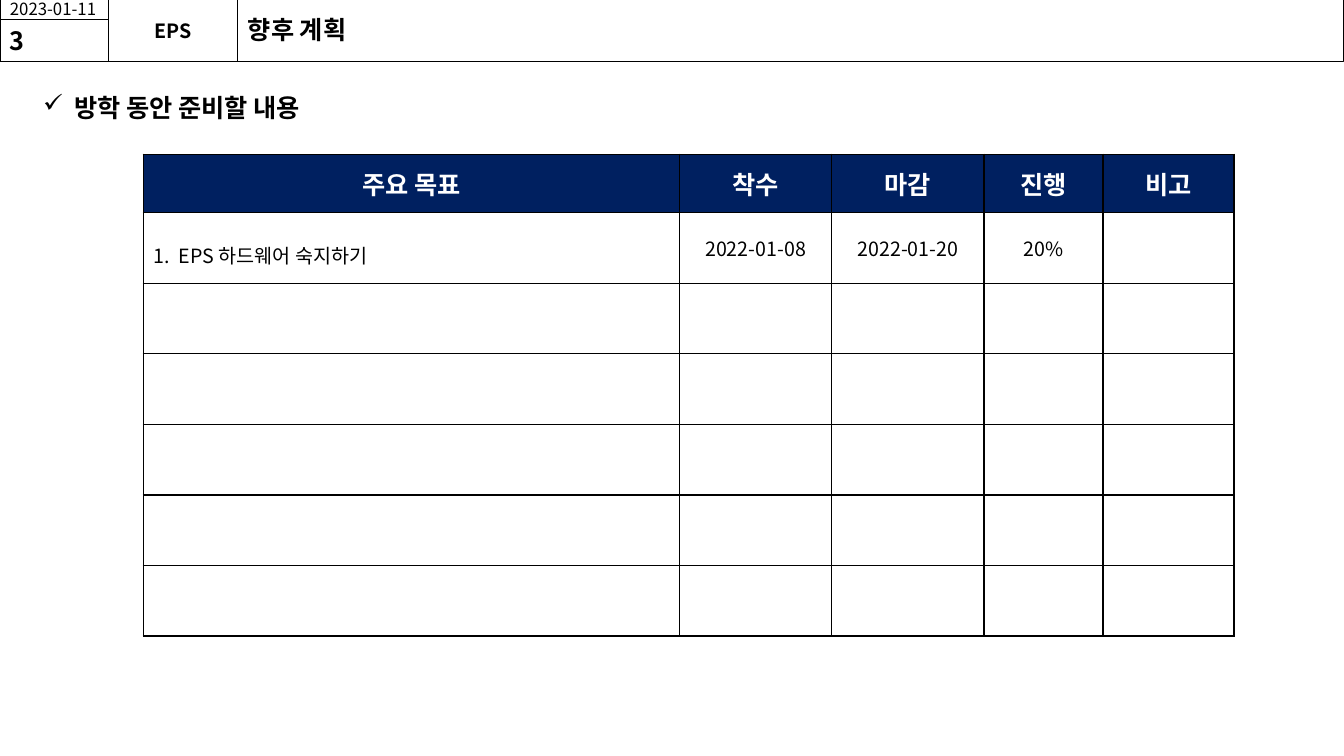
from dataclasses import dataclass

from lxml import etree
from pptx import Presentation
from pptx.dml.color import RGBColor
from pptx.enum.shapes import MSO_SHAPE
from pptx.enum.text import MSO_ANCHOR, PP_ALIGN
from pptx.oxml.ns import qn
from pptx.util import Inches, Pt

RECTANGLE = MSO_SHAPE.RECTANGLE
MIDDLE = MSO_ANCHOR.MIDDLE
LEFT, CENTER = PP_ALIGN.LEFT, PP_ALIGN.CENTER
BLANK_LAYOUT = 6


@dataclass(frozen=True)
class Theme:
    font: str = "Noto Sans CJK KR"
    black: RGBColor = RGBColor(0, 0, 0)
    white: RGBColor = RGBColor(255, 255, 255)
    navy: RGBColor = RGBColor(0, 0x20, 0x60)
    heading: Pt = Pt(18)
    label: Pt = Pt(14)
    date: Pt = Pt(12)
    frame_line: Pt = Pt(0.75)
    grid_line: Pt = Pt(1)


THEME = Theme()
SLIDE_SIZE = (Inches(13.33), Inches(7.5))

# Grid lines of the header band
BAND_X = (0, 1.08, 2.36, 13.33)
BAND_Y = (-0.01, 0.19, 0.61)

TABLE_ORIGIN = (Inches(1.42), Inches(1.53))
COLUMN_WIDTHS = (5.32, 1.51, 1.51, 1.18, 1.3)
HEADER_HEIGHT, ROW_HEIGHT = 0.58, 0.7
GOAL_ROWS = 6
HEADINGS = ("주요 목표", "착수", "마감", "진행", "비고")
GOALS = (("EPS 하드웨어 숙지하기", "2022-01-08", "2022-01-20", "20%"),)

HEADING_STYLE = {"size": THEME.heading, "bold": True}
LABEL_STYLE = {"size": THEME.label, "bold": True}
DATE_STYLE = {"size": THEME.date, "bold": False}
GOAL_STYLE = {"size": THEME.label, "bold": False}


def set_attributes(target, values):
    for name, value in values.items():
        setattr(target, name, value)


def write(frame, text, style, color=THEME.black, align=LEFT):
    """Fill the first paragraph, with the font for Latin and Korean alike."""
    paragraph = frame.paragraphs[0]
    paragraph.alignment = align
    run = paragraph.add_run()
    run.text = text
    set_attributes(run.font, {"name": THEME.font, **style})
    run.font.color.rgb = color
    east_asian = etree.SubElement(run.font._element, qn("a:ea"))
    east_asian.set("typeface", THEME.font)
    return paragraph


def add_bullet(paragraph, tag, **attributes):
    """Give the paragraph a hanging bullet of the given kind."""
    properties = paragraph._p.get_or_add_pPr()
    properties.set("marL", str(Inches(0.25)))
    properties.set("indent", str(-Inches(0.25)))
    etree.SubElement(properties, qn(tag), attributes)


def add_band_box(slide, columns, rows):
    """Draw an outlined box between two column lines and two row lines."""
    left, right = (Inches(BAND_X[i]) for i in columns)
    top, bottom = (Inches(BAND_Y[i]) for i in rows)
    box = slide.shapes.add_shape(RECTANGLE, left, top, right - left, bottom - top)
    box.shadow.inherit = False
    box.fill.background()
    box.line.color.rgb = THEME.black
    box.line.width = THEME.frame_line
    box.text_frame.vertical_anchor = MIDDLE
    return box.text_frame


def add_text(slide, left, top, width, height, text):
    box = slide.shapes.add_textbox(*map(Inches, (left, top, width, height)))
    box.text_frame.word_wrap = True
    return write(box.text_frame, text, HEADING_STYLE)


def add_header_band(slide):
    add_band_box(slide, (2, 3), (0, 2))
    write(add_band_box(slide, (0, 1), (0, 1)), "2023-01-11", DATE_STYLE)
    project = add_band_box(slide, (1, 2), (0, 2))
    margins = ("margin_left", "margin_top", "margin_right", "margin_bottom")
    set_attributes(project, dict.fromkeys(margins, 0))
    write(project, "EPS", LABEL_STYLE, align=CENTER)
    write(add_band_box(slide, (0, 1), (1, 2)), "3", HEADING_STYLE)
    add_text(slide, BAND_X[2], 0.09, 7.29, 0.4, "향후 계획")


def add_section_heading(slide):
    heading = add_text(slide, 0.33, 0.9, 11.92, 6.09, " 방학 동안 준비할 내용")
    heading.line_spacing = 0.9
    add_bullet(heading, "a:buChar", char="✓")


def format_cell(cell, fill):
    properties = cell._tc.get_or_add_tcPr()
    for side in ("a:lnL", "a:lnR", "a:lnT", "a:lnB"):
        border = etree.SubElement(properties, qn(side), w=str(THEME.grid_line))
        paint = etree.SubElement(border, qn("a:solidFill"))
        etree.SubElement(paint, qn("a:srgbClr"), val=str(THEME.black))
    cell.fill.solid()
    cell.fill.fore_color.rgb = fill
    cell.vertical_anchor = MIDDLE


def add_plan_table(slide):
    heights = (HEADER_HEIGHT,) + (ROW_HEIGHT,) * GOAL_ROWS
    size = (Inches(sum(COLUMN_WIDTHS)), Inches(sum(heights)))
    plan = slide.shapes.add_table(
        len(heights), len(COLUMN_WIDTHS), *TABLE_ORIGIN, *size).table
    set_attributes(plan, {"first_row": False, "horz_banding": False})
    for column, width in zip(plan.columns, COLUMN_WIDTHS):
        column.width = Inches(width)
    for row_index, (row, height) in enumerate(zip(plan.rows, heights)):
        row.height = Inches(height)
        for cell in row.cells:
            format_cell(cell, THEME.white if row_index else THEME.navy)

    for column, heading in enumerate(HEADINGS):
        write(plan.cell(0, column).text_frame, heading, HEADING_STYLE,
              THEME.white, CENTER)
    for row_index, (goal, *details) in enumerate(GOALS, start=1):
        target = write(plan.cell(row_index, 0).text_frame, goal, GOAL_STYLE)
        target.line_spacing = 1.5
        add_bullet(target, "a:buAutoNum", type="arabicPeriod")
        for column, detail in enumerate(details, start=1):
            write(plan.cell(row_index, column).text_frame, detail, GOAL_STYLE,
                  align=CENTER)


def main():
    presentation = Presentation()
    presentation.slide_width, presentation.slide_height = SLIDE_SIZE
    slide = presentation.slides.add_slide(presentation.slide_layouts[BLANK_LAYOUT])
    add_section_heading(slide)
    add_header_band(slide)
    add_plan_table(slide)
    presentation.save("out.pptx")


if __name__ == "__main__":
    main()
